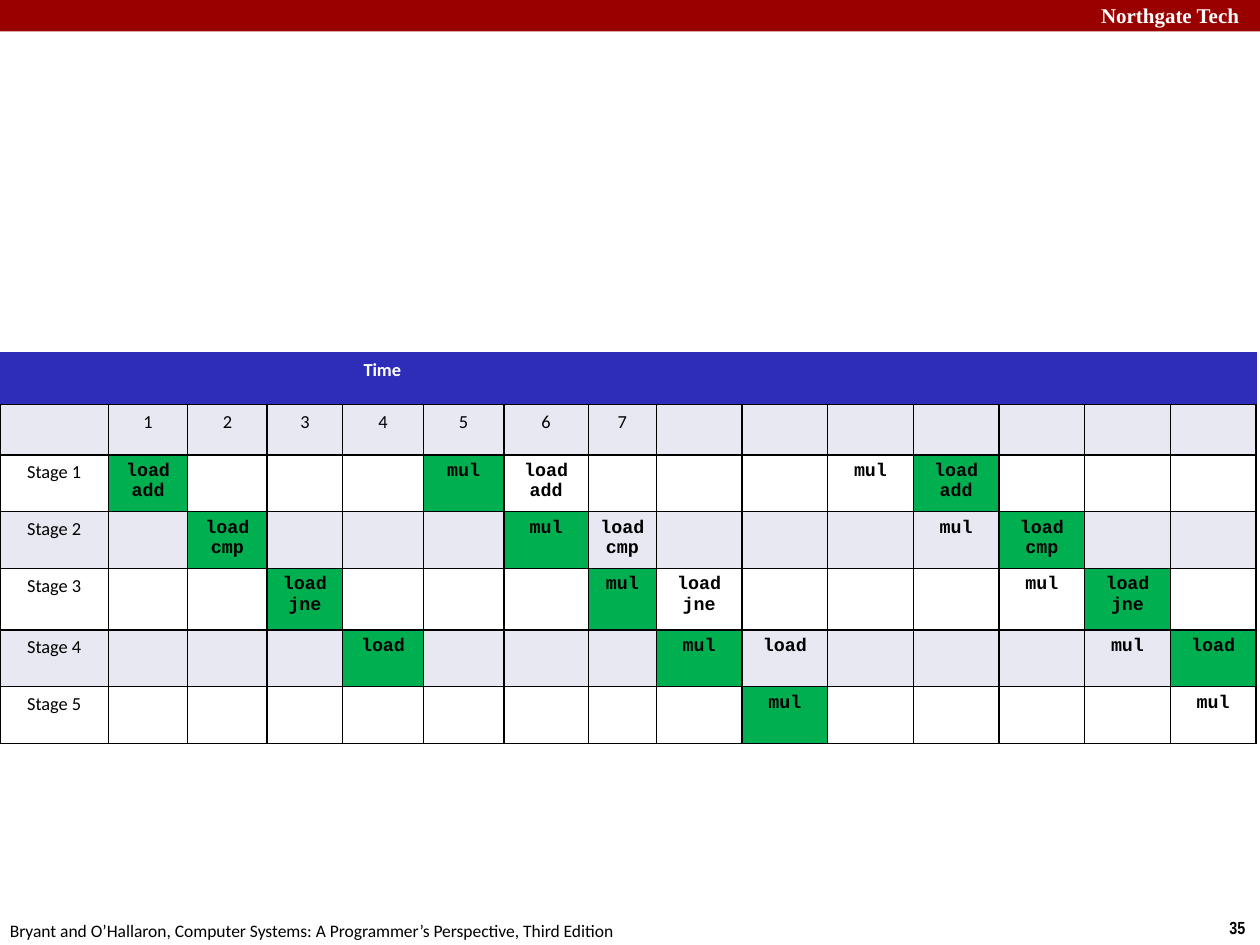
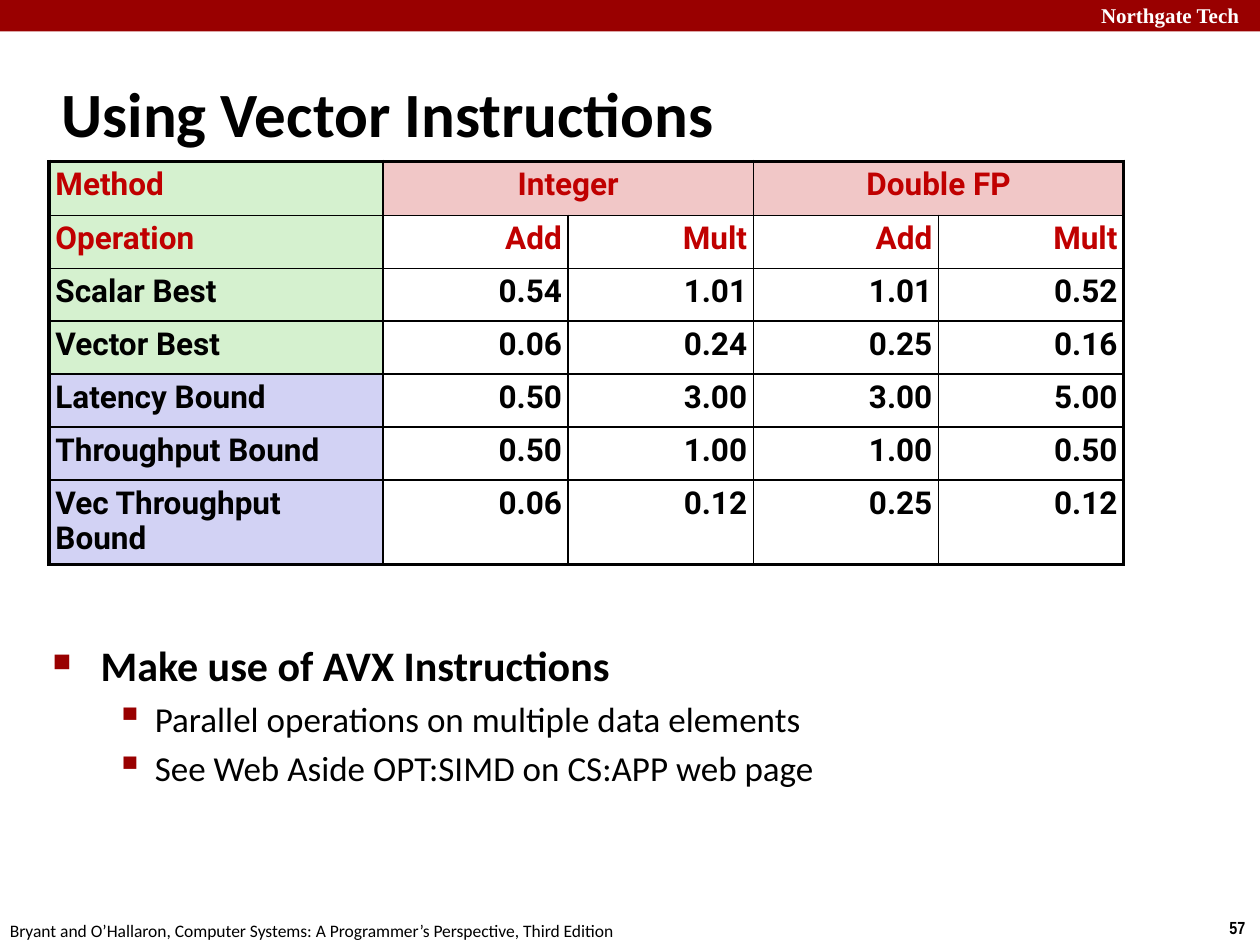
from lxml.etree import SubElement as Sub
from pptx import Presentation
from pptx.dml.color import RGBColor as RGB
from pptx.enum.shapes import MSO_SHAPE as SHAPE
from pptx.enum.text import MSO_ANCHOR as ANCHOR, PP_ALIGN as ALIGN
from pptx.oxml.ns import qn
from pptx.util import Inches, Pt

BLACK, WHITE = RGB(0, 0, 0), RGB(255, 255, 255)
MAROON, RED = RGB(0x99, 0, 0), RGB(0xC0, 0, 0)
BLUE, PALE, GREEN = RGB(0x2D, 0x2D, 0xB9), RGB(0xE8, 0xE8, 0xF3), RGB(0, 0xB0, 0x50)
MINT, PINK, LILAC = RGB(0xD5, 0xF1, 0xCF), RGB(0xF1, 0xC7, 0xC7), RGB(0xD2, 0xD2, 0xF4)
LEFT, MID, RIGHT = ALIGN.LEFT, ALIGN.CENTER, ALIGN.RIGHT

SCHOOL = "Northgate Tech"
BOOK = "Bryant and O’Hallaron, Computer Systems: A Programmer’s Perspective, Third Edition"

LOADS = ["load\nadd", "load\ncmp", "load\njne", "load", ""]
STARTS = [(1, True, True), (5, False, True), (6, True, False),
          (10, False, False), (11, True, True)]
TIMES = 7
STEPS = [0.86, 0.63, 0.63, 0.6, 0.64, 0.64, 0.67, 0.54] + [0.68] * 7
TALL = [0.41, 0.4, 0.45, 0.45, 0.49, 0.45, 0.45]

TITLE = "Using Vector Instructions"
SPEEDS = [
    ("Method", "Integer", "", "Double FP", ""),
    ("Operation", "Add", "Mult", "Add", "Mult"),
    ("Scalar Best", "0.54", "1.01", "1.01", "0.52"),
    ("Vector Best", "0.06", "0.24", "0.25", "0.16"),
    ("Latency Bound", "0.50", "3.00", "3.00", "5.00"),
    ("Throughput Bound", "0.50", "1.00", "1.00", "0.50"),
    ("Vec Throughput Bound", "0.06", "0.12", "0.25", "0.12"),
]
POINTS = [
    (0, "Make use of AVX Instructions"),
    (1, "Parallel operations on multiple data elements"),
    (1, "See Web Aside OPT:SIMD on CS:APP web page"),
]
LEVELS = [
    dict(size=24, bold=True, left=0.38, hang=0.38, mark="■", scale=60),
    dict(size=20, bold=False, left=0.81, hang=0.31, mark="▪", scale=110),
]


def put(thing, **vals):
    for key, val in vals.items():
        setattr(thing, key, val)


def write(para, text, face, size, color, bold=False):
    run = para.add_run()
    run.text = text
    put(run.font, name=face, size=Pt(size), bold=bold)
    run.font.color.rgb = color


def box(slide, at, wrap=True, anchor=ANCHOR.TOP):
    frame = slide.shapes.add_textbox(*map(Inches, at)).text_frame
    put(frame, word_wrap=wrap, vertical_anchor=anchor)
    return frame


def label(slide, at, text, *style, **opts):
    write(box(slide, at, **opts).paragraphs[0], text, *style)


def base(deck, page):
    slide = deck.slides.add_slide(deck.slide_layouts[6])
    band = slide.shapes.add_shape(SHAPE.RECTANGLE, 0, 0, deck.slide_width, Inches(0.25))
    band.shadow.inherit = False
    band.fill.solid()
    band.fill.fore_color.rgb = MAROON
    band.line.fill.background()
    label(slide, (8.64, -0.03, 1.43, 0.3), SCHOOL, "Times New Roman", 12, WHITE, True)
    label(slide, (9.66, 7.23, 0.34, 0.27), page, "Arial Narrow", 10, BLACK, True, wrap=False)
    label(slide, (-0.02, 7.25, 5.08, 0.27), BOOK, "Calibri", 10, BLACK, wrap=False)
    return slide


def grid(slide, left, top, cols, rows):
    size = map(Inches, (left, top, sum(cols), sum(rows)))
    table = slide.shapes.add_table(len(rows), len(cols), *size).table
    put(table, first_row=False, horz_banding=False)
    for col, width in zip(table.columns, cols):
        col.width = Inches(width)
    for row, height in zip(table.rows, rows):
        row.height = Inches(height)
    return table


def dress(cell, fill, edges, side):
    put(cell, margin_left=Inches(side), margin_right=Inches(side),
        margin_top=Inches(0.05), margin_bottom=Inches(0.05))
    props = cell._tc.get_or_add_tcPr()
    for edge, (color, width) in zip("LRTB", edges):
        line = Sub(props, qn("a:ln" + edge), w=str(int(Pt(width))))
        Sub(Sub(line, qn("a:solidFill")), qn("a:srgbClr"), val=str(color))
    if fill is None:
        cell.fill.background()
    else:
        cell.fill.solid()
        cell.fill.fore_color.rgb = fill


def enter(cell, text, align, *style, space=1.0):
    for i, part in enumerate(text.split("\n") if text else []):
        para = cell.text_frame.add_paragraph() if i else cell.text_frame.paragraphs[0]
        put(para, alignment=align, line_spacing=space)
        write(para, part, *style)


def stages(slide):
    table = grid(slide, 0, 2.8, STEPS, TALL)
    thin, blue = (BLACK, 1), (BLUE, 1)
    table.cell(0, 1).merge(table.cell(0, TIMES))
    for r in range(len(TALL)):
        ops = {}
        if r > 1:
            load = LOADS[r - 2]
            ops = {start + r - 2: (load if loads else "mul", lit)
                   for start, loads, lit in STARTS if load or not loads}
        for c in range(len(STEPS)):
            cell = table.cell(r, c)
            text, lit = ops.get(c, ("", False))
            face, bold, color = "Courier New", True, BLACK
            fill = GREEN if lit else PALE if r % 2 else WHITE
            edges = [thin] * 4
            if r == 0:
                text = "Time" if c == 1 else ""
                face, color, fill = "Calibri", WHITE, BLUE
                edges = [blue, blue, blue, thin]
            elif c == 0 or r == 1:
                face, bold = "Calibri", False
                if r > 1:
                    text = f"Stage {r - 1}"
                elif 0 < c <= TIMES:
                    text = str(c)
            dress(cell, fill, edges, 0)
            enter(cell, text, MID, face, 10.5, color, bold)


def speeds(slide):
    cols, rows = [2.65] + [1.47] * 4, [0.43] + [0.42] * 5 + [0.66]
    table = grid(slide, 0.39, 1.28, cols, rows)
    for c in (1, 3):
        table.cell(0, c).merge(table.cell(0, c + 1))
    for r, row in enumerate(SPEEDS):
        for c, text in enumerate(row):
            cell = table.cell(r, c)
            outer = (c == 0, c == len(cols) - 1 or (r == 0 and c == 3),
                     r == 0, r == len(rows) - 1)
            if c == 0:
                fill, align = MINT if r < 4 else LILAC, LEFT
            else:
                fill, align = (None, RIGHT) if r else (PINK, MID)
            dress(cell, fill, [(BLACK, 2.25 if out else 1) for out in outer], 0.05)
            enter(cell, text, align, "Roboto", 18, RED if r < 2 else BLACK, True, space=0.95)


def points(slide):
    frame = box(slide, (0.32, 5.03, 9.09, 2.05))
    for i, (level, text) in enumerate(POINTS):
        para = frame.add_paragraph() if i else frame.paragraphs[0]
        look = LEVELS[level]
        put(para, level=level, space_before=Pt(look["size"] * 0.2))
        props = para._p.get_or_add_pPr()
        props.set("marL", str(Inches(look["left"])))
        props.set("indent", str(-Inches(look["hang"])))
        Sub(Sub(props, qn("a:buClr")), qn("a:srgbClr"), val=str(MAROON))
        Sub(props, qn("a:buSzPct"), val=str(look["scale"] * 1000))
        Sub(props, qn("a:buChar"), char=look["mark"])
        write(para, text, "Calibri", look["size"], BLACK, look["bold"])


deck = Presentation()
put(deck, slide_width=Inches(10), slide_height=Inches(7.5))
stages(base(deck, "35"))
last = base(deck, "57")
label(last, (0.39, 0.48, 8.3, 0.83), TITLE, "Calibri", 36, BLACK, True, anchor=ANCHOR.MIDDLE)
speeds(last)
points(last)
deck.save("out.pptx")
